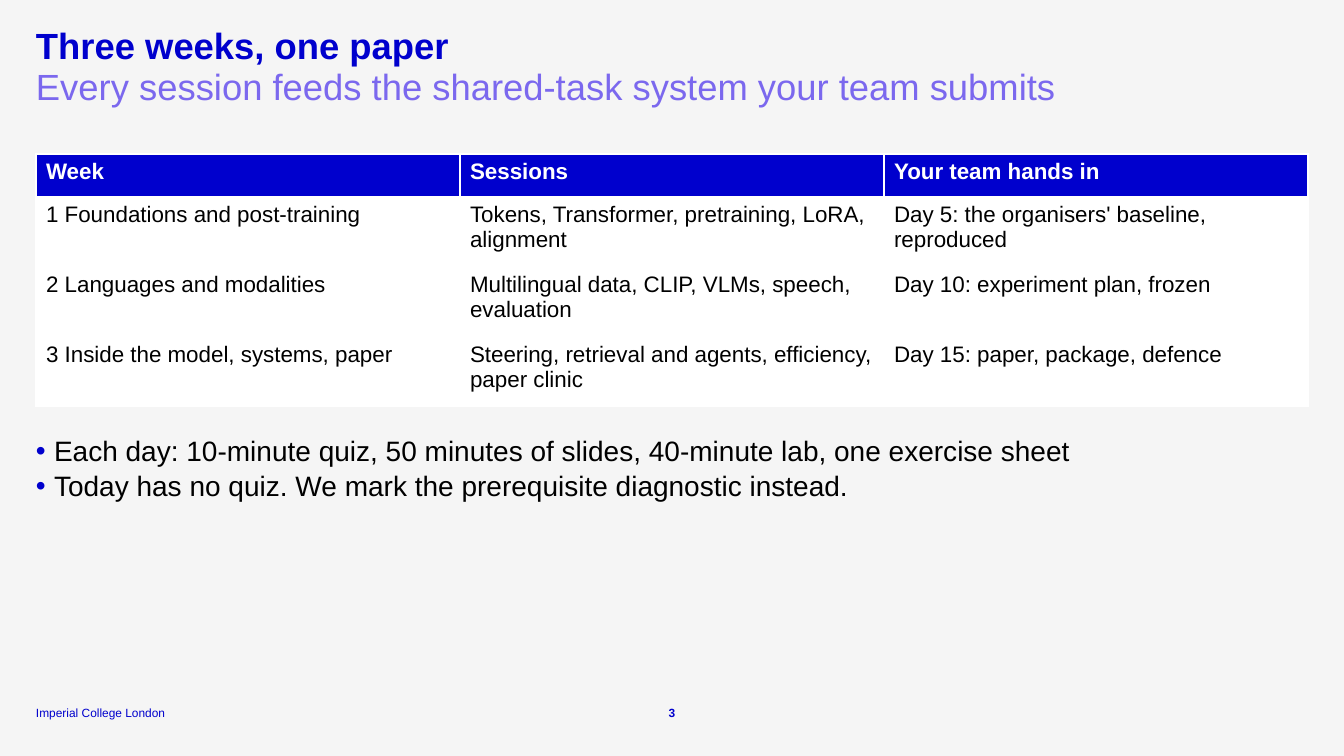
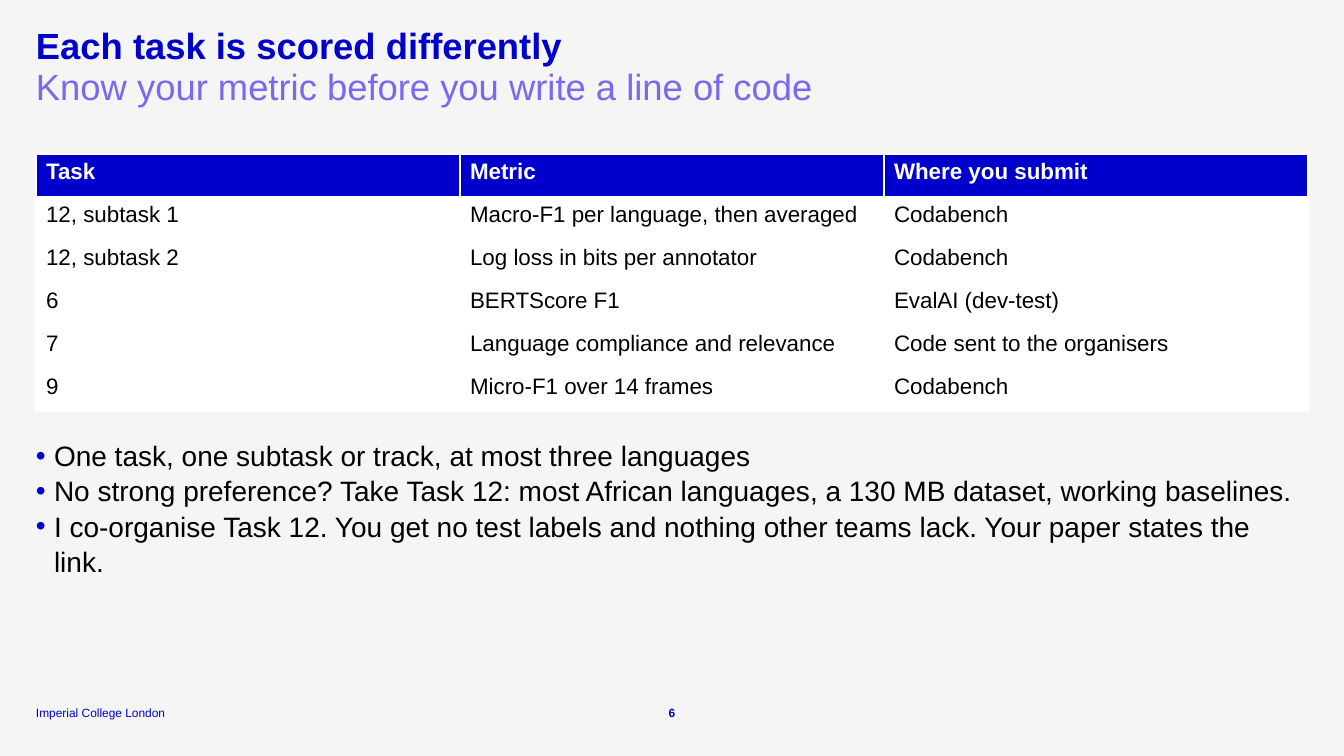
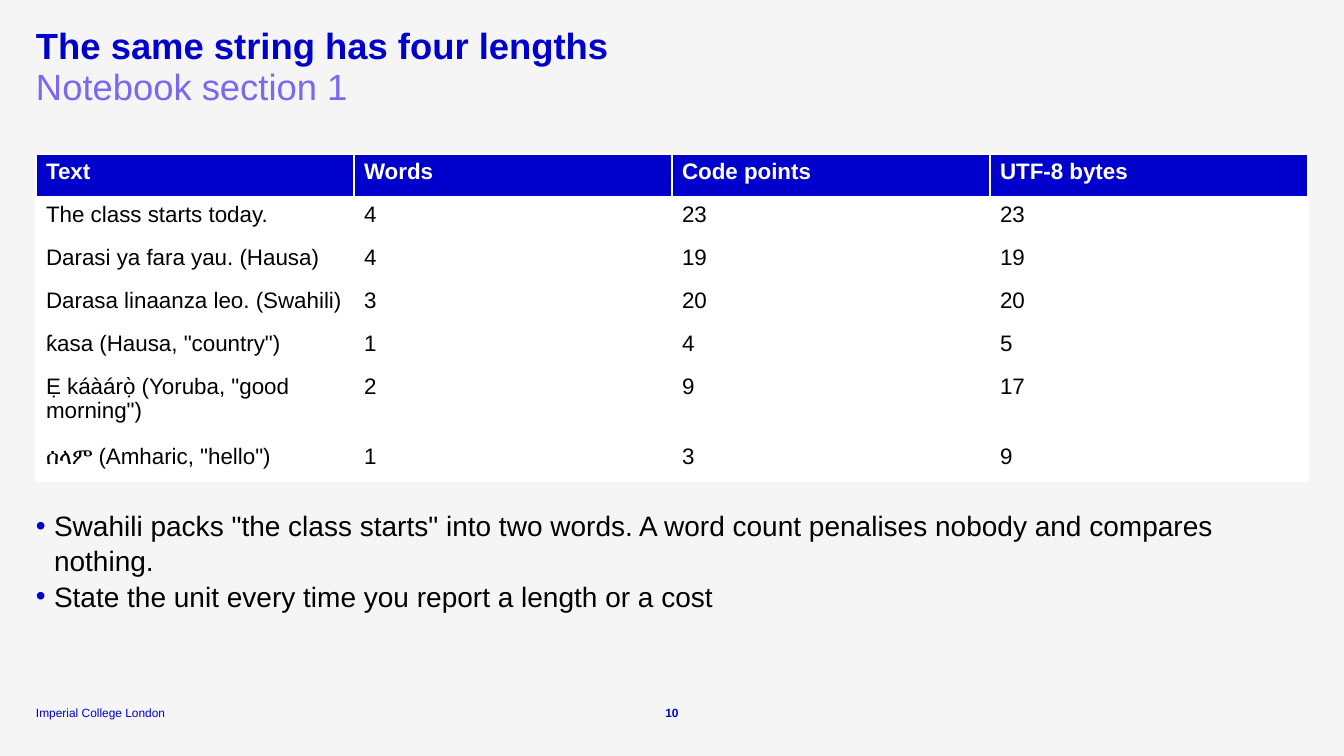
from dataclasses import dataclass

from lxml import etree
from pptx import Presentation
from pptx.dml.color import RGBColor
from pptx.enum.text import MSO_ANCHOR, MSO_AUTO_SIZE, PP_ALIGN
from pptx.oxml.ns import qn
from pptx.util import Emu, Pt

LEFT, CENTER = PP_ALIGN.LEFT, PP_ALIGN.CENTER
TOP, BOTTOM = MSO_ANCHOR.TOP, MSO_ANCHOR.BOTTOM
NO_AUTOFIT = MSO_AUTO_SIZE.NONE
TWO_CONTENT_LAYOUT = 3

FOOTER = "Imperial College London"
SLIDES = [
    {
        "number": 3,
        "title": "Three weeks, one paper",
        "subtitle": "Every session feeds the shared-task system your team submits",
        "table": [
            ("Week", "Sessions", "Your team hands in"),
            ("1 Foundations and post-training",
             "Tokens, Transformer, pretraining, LoRA, alignment",
             "Day 5: the organisers' baseline, reproduced"),
            ("2 Languages and modalities",
             "Multilingual data, CLIP, VLMs, speech, evaluation",
             "Day 10: experiment plan, frozen"),
            ("3 Inside the model, systems, paper",
             "Steering, retrieval and agents, efficiency, paper clinic",
             "Day 15: paper, package, defence"),
        ],
        "two_line_rows": {1, 2, 3},
        "bullets": [
            "Each day: 10-minute quiz, 50 minutes of slides, 40-minute lab, one exercise sheet",
            "Today has no quiz. We mark the prerequisite diagnostic instead.",
        ],
        "bullets_height": 100,
    },
    {
        "number": 6,
        "title": "Each task is scored differently",
        "subtitle": "Know your metric before you write a line of code",
        "table": [
            ("Task", "Metric", "Where you submit"),
            ("12, subtask 1", "Macro-F1 per language, then averaged", "Codabench"),
            ("12, subtask 2", "Log loss in bits per annotator", "Codabench"),
            ("6", "BERTScore F1", "EvalAI (dev-test)"),
            ("7", "Language compliance and relevance", "Code sent to the organisers"),
            ("9", "Micro-F1 over 14 frames", "Codabench"),
        ],
        "two_line_rows": set(),
        "bullets": [
            "One task, one subtask or track, at most three languages",
            "No strong preference? Take Task 12: most African languages, "
            "a 130 MB dataset, working baselines.",
            "I co-organise Task 12. You get no test labels and nothing other teams lack. "
            "Your paper states the link.",
        ],
        "bullets_height": 223,
    },
    {
        "number": 10,
        "title": "The same string has four lengths",
        "subtitle": "Notebook section 1",
        "table": [
            ("Text", "Words", "Code points", "UTF-8 bytes"),
            ("The class starts today.", "4", "23", "23"),
            ("Darasi ya fara yau. (Hausa)", "4", "19", "19"),
            ("Darasa linaanza leo. (Swahili)", "3", "20", "20"),
            ('ƙasa (Hausa, "country")', "1", "4", "5"),
            ('Ẹ káàárọ̀ (Yoruba, "good morning")', "2", "9", "17"),
            ('ሰላም (Amharic, "hello")', "1", "3", "9"),
        ],
        "two_line_rows": {5},
        "bullets": [
            'Swahili packs "the class starts" into two words. '
            "A word count penalises nobody and compares nothing.",
            "State the unit every time you report a length or a cost",
        ],
        "bullets_height": 136,
    },
]


@dataclass(frozen=True)
class Theme:
    font: str = "Arial"
    background: str = "F5F5F5"
    blue: str = "0000CD"
    violet: str = "7B68EE"
    black: str = "000000"
    white: str = "FFFFFF"
    title_size: float = 26
    body_size: float = 20
    table_size: float = 16
    footer_size: float = 8.5


THEME = Theme()
TITLE_FONT = {"size": THEME.title_size, "color": THEME.blue, "bold": True}
SUBTITLE_FONT = {"size": THEME.title_size, "color": THEME.violet, "bold": False}
BODY_FONT = {"size": THEME.body_size, "color": THEME.black, "bold": False}
HEADER_FONT = {"size": THEME.table_size, "color": THEME.white, "bold": True}
CELL_FONT = {"size": THEME.table_size, "color": THEME.black, "bold": False}
FOOTER_FONT = {"size": THEME.footer_size, "color": THEME.blue, "bold": False}
NUMBER_FONT = FOOTER_FONT | {"bold": True}

SLIDE_WIDTH, SLIDE_HEIGHT = 1344, 756
MARGIN = 36
CONTENT_WIDTH = SLIDE_WIDTH - 2 * MARGIN
TITLE_TOP, TITLE_HEIGHT = 28, 41
TABLE_TOP, ROW_HEIGHT, TWO_LINE_HEIGHT = 154, 43, 70
BULLETS_GAP, BULLET_INDENT = 25, 18
FOOTER_TOP, FOOTER_HEIGHT, FOOTER_WIDTH, NUMBER_WIDTH = 705, 15, 156, 35


def px(length):
    return Emu(round(length * 914400 / 100.8))


def place(shape, left, top, width, height):
    box = {"left": left, "top": top, "width": width, "height": height}
    for name, length in box.items():
        setattr(shape, name, px(length))


def style_font(paragraph, size, color, bold):
    for name, value in {"name": THEME.font, "size": Pt(size), "bold": bold}.items():
        setattr(paragraph.font, name, value)
    paragraph.font.color.rgb = RGBColor.from_string(color)


def set_bullet(paragraph, character=None):
    """Hang the paragraph on a blue bullet, or clear the inherited one."""
    properties = paragraph._p.get_or_add_pPr()
    indent = px(BULLET_INDENT) if character else 0
    properties.set("marL", str(indent))
    properties.set("indent", str(-indent))
    if character:
        color = etree.SubElement(properties, qn("a:buClr"))
        etree.SubElement(color, qn("a:srgbClr"), val=THEME.blue)
        etree.SubElement(properties, qn("a:buChar"), char=character)
    else:
        etree.SubElement(properties, qn("a:buNone"))


def write(shape, lines, font, align=LEFT, anchor=TOP, spacing=1.0, bullet=None):
    frame = shape.text_frame
    frame_format = {
        "margin_left": 0, "margin_top": 0, "margin_right": 0, "margin_bottom": 0,
        "word_wrap": True, "auto_size": NO_AUTOFIT, "vertical_anchor": anchor,
    }
    for name, value in frame_format.items():
        setattr(frame, name, value)
    frame.text = "\n".join(lines)
    paragraph_format = {"alignment": align, "line_spacing": spacing, "space_before": Pt(0)}
    for paragraph in frame.paragraphs:
        set_bullet(paragraph, bullet)
        for name, value in paragraph_format.items():
            setattr(paragraph, name, value)
        style_font(paragraph, **font)


def add_label(slide, text, left, width, font, align=LEFT):
    label = slide.shapes.add_textbox(0, 0, 0, 0)
    place(label, left, FOOTER_TOP, width, FOOTER_HEIGHT)
    write(label, [text], font, align, BOTTOM)
    return label


def add_table(slide, rows, two_line_rows):
    """Add the table and return its bottom edge in px."""
    heights = [TWO_LINE_HEIGHT if index in two_line_rows else ROW_HEIGHT
               for index in range(len(rows))]
    columns = len(rows[0])
    table = slide.shapes.add_table(
        len(rows), columns, px(MARGIN), px(TABLE_TOP),
        px(CONTENT_WIDTH), px(sum(heights))).table
    table.horz_banding = False
    for column in table.columns:
        column.width = px(CONTENT_WIDTH / columns)
    for row_index, (texts, height) in enumerate(zip(rows, heights)):
        table.rows[row_index].height = px(height)
        fill, font = (THEME.white, CELL_FONT) if row_index else (THEME.blue, HEADER_FONT)
        for cell, text in zip(table.rows[row_index].cells, texts):
            cell.text = text
            cell.fill.solid()
            cell.fill.fore_color.rgb = RGBColor.from_string(fill)
            style_font(cell.text_frame.paragraphs[0], **font)
    return TABLE_TOP + sum(heights)


def add_content_slide(presentation, content):
    slide = presentation.slides.add_slide(presentation.slide_layouts[TWO_CONTENT_LAYOUT])
    title, bullets, subtitle = slide.placeholders
    headings = [(title, content["title"], TITLE_FONT),
                (subtitle, content["subtitle"], SUBTITLE_FONT)]
    for index, (shape, text, font) in enumerate(headings):
        place(shape, MARGIN, TITLE_TOP + index * TITLE_HEIGHT, CONTENT_WIDTH, TITLE_HEIGHT)
        write(shape, [text], font, spacing=0.9)

    table_bottom = add_table(slide, content["table"], content["two_line_rows"])
    place(bullets, MARGIN, table_bottom + BULLETS_GAP, CONTENT_WIDTH, content["bullets_height"])
    write(bullets, content["bullets"], BODY_FONT, spacing=1.05, bullet="•")
    add_label(slide, str(content["number"]), (SLIDE_WIDTH - NUMBER_WIDTH) / 2,
              NUMBER_WIDTH, NUMBER_FONT, CENTER)
    return slide


def main():
    presentation = Presentation()
    presentation.slide_width, presentation.slide_height = px(SLIDE_WIDTH), px(SLIDE_HEIGHT)
    background = presentation.slide_master.background.fill
    background.solid()
    background.fore_color.rgb = RGBColor.from_string(THEME.background)

    slides = [add_content_slide(presentation, content) for content in SLIDES]
    # A layout cannot create text boxes, so the shared footer is built on a slide and moved.
    footer = add_label(slides[0], FOOTER, MARGIN, FOOTER_WIDTH, FOOTER_FONT)
    slides[0].slide_layout.shapes.element.append(footer.element)
    presentation.save("out.pptx")


if __name__ == "__main__":
    main()
